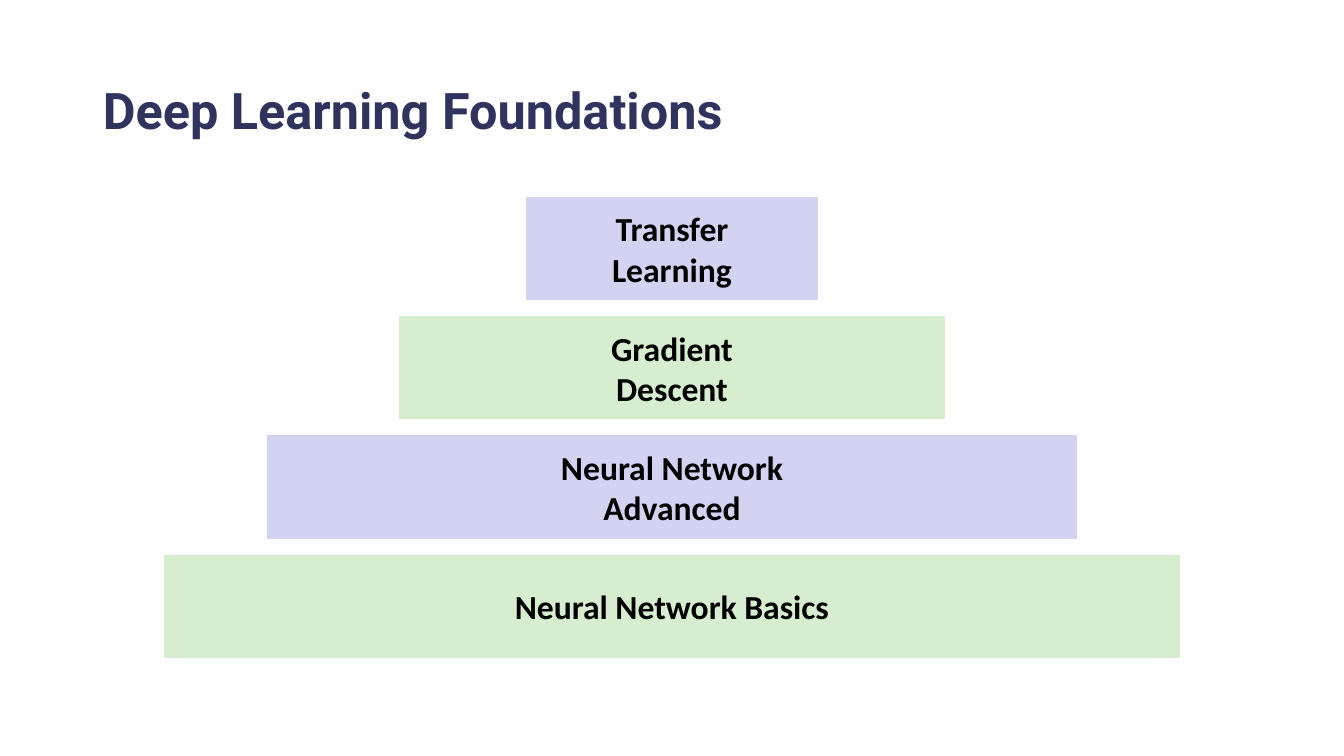
from pptx import Presentation
from pptx.dml.color import RGBColor
from pptx.enum.shapes import MSO_SHAPE
from pptx.enum.text import MSO_ANCHOR, MSO_AUTO_SIZE, PP_ALIGN
from pptx.util import Inches, Pt

RECTANGLE = MSO_SHAPE.RECTANGLE
MIDDLE = MSO_ANCHOR.MIDDLE
NO_AUTOFIT = MSO_AUTO_SIZE.NONE
LEFT, CENTER = PP_ALIGN.LEFT, PP_ALIGN.CENTER

NAVY = RGBColor(0x30, 0x33, 0x5D)
BLACK = RGBColor(0x00, 0x00, 0x00)
LAVENDER = RGBColor(0xD2, 0xD2, 0xF1)
GREEN = RGBColor(0xD6, 0xEE, 0xCF)
GREEN_EDGE = RGBColor(0xD6, 0xED, 0xCF)

SLIDE_WIDTH, SLIDE_HEIGHT = 13.33, 7.5
TOP_LEVEL, BOTTOM_LEVEL = 1.96, 5.51
LEVEL_HEIGHT = 1.01

# Pyramid levels from top to bottom: label, width, fill, edge
# (\n starts a paragraph, \v breaks a line)
LEVELS = [
    ("Transfer\vLearning", 2.89, LAVENDER, LAVENDER),
    ("Gradient\vDescent", 5.4, GREEN, GREEN_EDGE),
    ("Neural Network\nAdvanced", 8.02, LAVENDER, LAVENDER),
    ("Neural Network Basics", 10.07, GREEN, GREEN_EDGE),
]


def format_text(frame, font_name, size, color, alignment):
    frame.word_wrap = True
    frame.vertical_anchor = MIDDLE
    for paragraph in frame.paragraphs:
        paragraph.alignment = alignment
        paragraph.font.name = font_name
        paragraph.font.size = Pt(size)
        paragraph.font.bold = True
        paragraph.font.color.rgb = color


def set_title(slide, text):
    title = slide.shapes.title
    title.left, title.top = Inches(0.92), Inches(0.4)
    title.width, title.height = Inches(11.5), Inches(1.45)
    frame = title.text_frame
    frame.text = text
    frame.auto_size = NO_AUTOFIT
    format_text(frame, "Roboto", 36, NAVY, LEFT)
    frame.paragraphs[0].line_spacing = 0.9


def add_level(slide, label, top, width, fill, edge):
    left = (SLIDE_WIDTH - width) / 2
    level = slide.shapes.add_shape(
        RECTANGLE, Inches(left), Inches(top), Inches(width), Inches(LEVEL_HEIGHT)
    )
    level.shadow.inherit = False
    level.fill.solid()
    level.fill.fore_color.rgb = fill
    level.line.color.rgb = edge
    level.line.width = Pt(1)
    level.text_frame.text = label
    format_text(level.text_frame, "Calibri", 24, BLACK, CENTER)


def main():
    deck = Presentation()
    deck.slide_width, deck.slide_height = Inches(SLIDE_WIDTH), Inches(SLIDE_HEIGHT)
    slide = deck.slides.add_slide(deck.slide_layouts[5])

    # Title
    set_title(slide, "Deep Learning Foundations")

    # Pyramid, evenly spaced
    pitch = (BOTTOM_LEVEL - TOP_LEVEL) / (len(LEVELS) - 1)
    for row, (label, width, fill, edge) in enumerate(LEVELS):
        add_level(slide, label, TOP_LEVEL + row * pitch, width, fill, edge)

    deck.save("out.pptx")


if __name__ == "__main__":
    main()
